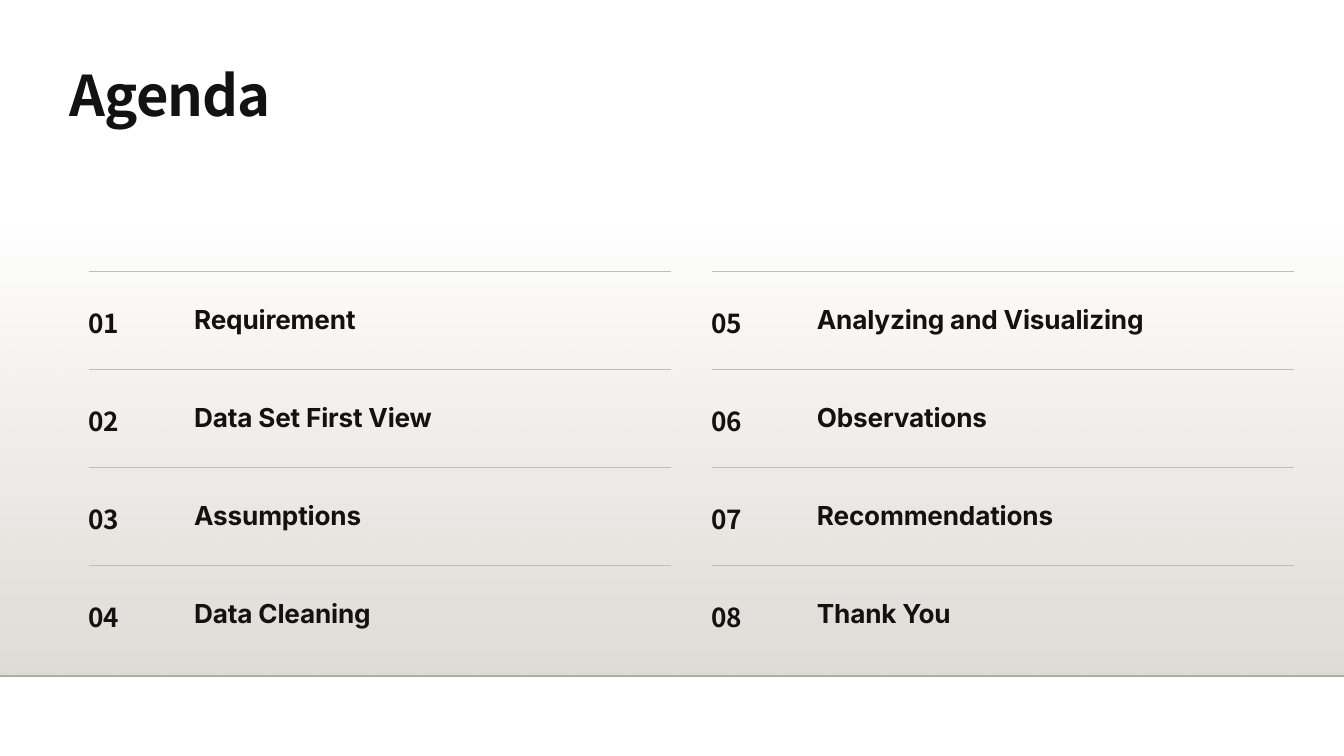
"""Build the agenda slide: a title over eight numbered topics in two columns."""
from pptx import Presentation
from pptx import util as u
from pptx.dml import color
from pptx.enum import shapes, text
from pptx.oxml import ns, xmlchemy

COLOURS = {"ink": "121212", "rule": "BEBEBE", "sand": "DFDBD5", "edge": "000001"}
TITLE = {"font": {"name": "Noto Sans CJK JP", "size": u.Pt(30), "bold": True},
         "leading": 31.2, "tracking": -50, "anchor": text.MSO_ANCHOR.TOP}
NUMBER = {"font": {"name": "Noto Sans CJK JP", "size": u.Pt(14), "bold": True},
          "leading": 18.9, "tracking": -50, "anchor": text.MSO_ANCHOR.MIDDLE}
TOPIC = {"font": {"name": "Inter", "size": u.Pt(14), "bold": True},
         "leading": 14.7, "tracking": -10, "anchor": text.MSO_ANCHOR.MIDDLE}
COLUMNS = [
    ["Requirement", "Data Set First View", "Assumptions", "Data Cleaning"],
    ["Analyzing and Visualizing", "Observations", "Recommendations", "Thank You"],
]
LEFT, TOP = 1.68, 5.13
COLUMN_PITCH, ROW_PITCH = 11.77, 1.85


def rgb(name):
    """Return the named colour."""
    return color.RGBColor.from_string(COLOURS[name])


def set_opacity(parent, percent):
    """Give the first plain colour inside an element an opacity."""
    fill_colour = next(parent.iter(ns.qn("a:srgbClr")))
    alpha = xmlchemy.OxmlElement("a:alpha")
    alpha.set("val", str(percent * 1000))
    fill_colour.append(alpha)


def add_backdrop(page, left, top, width, height):
    """Add a band that fades in from clear at its top."""
    band = page.shapes.add_shape(
        shapes.MSO_SHAPE.RECTANGLE, *map(u.Cm, (left, top, width, height)))
    band.shadow.inherit = False
    band.line.fill.background()
    band.fill.gradient()
    band.fill.gradient_angle = 270
    for stop in band.fill.gradient_stops:
        stop.color.rgb = rgb("sand")
    set_opacity(band.element.spPr, 0)


def add_rule(page, left, top, width, colour, weight):
    """Add a horizontal line and return it."""
    rule = page.shapes.add_connector(
        shapes.MSO_CONNECTOR.STRAIGHT, *map(u.Cm, (left, top, left + width, top)))
    rule.line.color.rgb = rgb(colour)
    rule.line.width = u.Pt(weight)
    rule.element.spPr.append(xmlchemy.OxmlElement("a:effectLst"))
    return rule


def add_text(page, words, left, top, width, height, style):
    """Add a one-line text box without margins."""
    box = page.shapes.add_textbox(*map(u.Cm, (left, top, width, height)))
    frame = {"word_wrap": True, "vertical_anchor": style["anchor"],
             "margin_left": 0, "margin_top": 0, "margin_right": 0, "margin_bottom": 0}
    for name, value in frame.items():
        setattr(box.text_frame, name, value)
    para = box.text_frame.paragraphs[0]
    para.line_spacing = u.Pt(style["leading"])
    span = para.add_run()
    span.text = words
    for name, value in style["font"].items():
        setattr(span.font, name, value)
    span.font.color.rgb = rgb("ink")
    next(para._p.iter(ns.qn("a:rPr"))).set("spc", str(style["tracking"]))


def add_topic(page, number, topic, left, top):
    """Add a numbered topic under its rule."""
    add_rule(page, left, top, 11, "rule", 0.42)
    add_text(page, f"{number:02}", left, top + 0.61, 1.27, 0.66, NUMBER)
    add_text(page, topic, left + 1.99, top + 0.69, 9.02, 0.51, TOPIC)


def main():
    """Build and save the deck."""
    deck = Presentation()
    deck.slide_width, deck.slide_height = u.Cm(25.4), u.Cm(14.29)
    page = deck.slides.add_slide(deck.slide_layouts[6])
    add_backdrop(page, 0, 4.22, 25.4, 8.56)
    edge = add_rule(page, 0, 12.78, 25.4, "edge", 1)
    set_opacity(edge.element.spPr, 20)
    for column, topics in enumerate(COLUMNS):
        for row, topic in enumerate(topics):
            add_topic(page, column * len(topics) + row + 1, topic,
                      LEFT + column * COLUMN_PITCH, TOP + row * ROW_PITCH)
    add_text(page, "Agenda", 1.32, 1.32, 22.76, 1.09, TITLE)
    deck.save("out.pptx")


if __name__ == "__main__":
    main()
